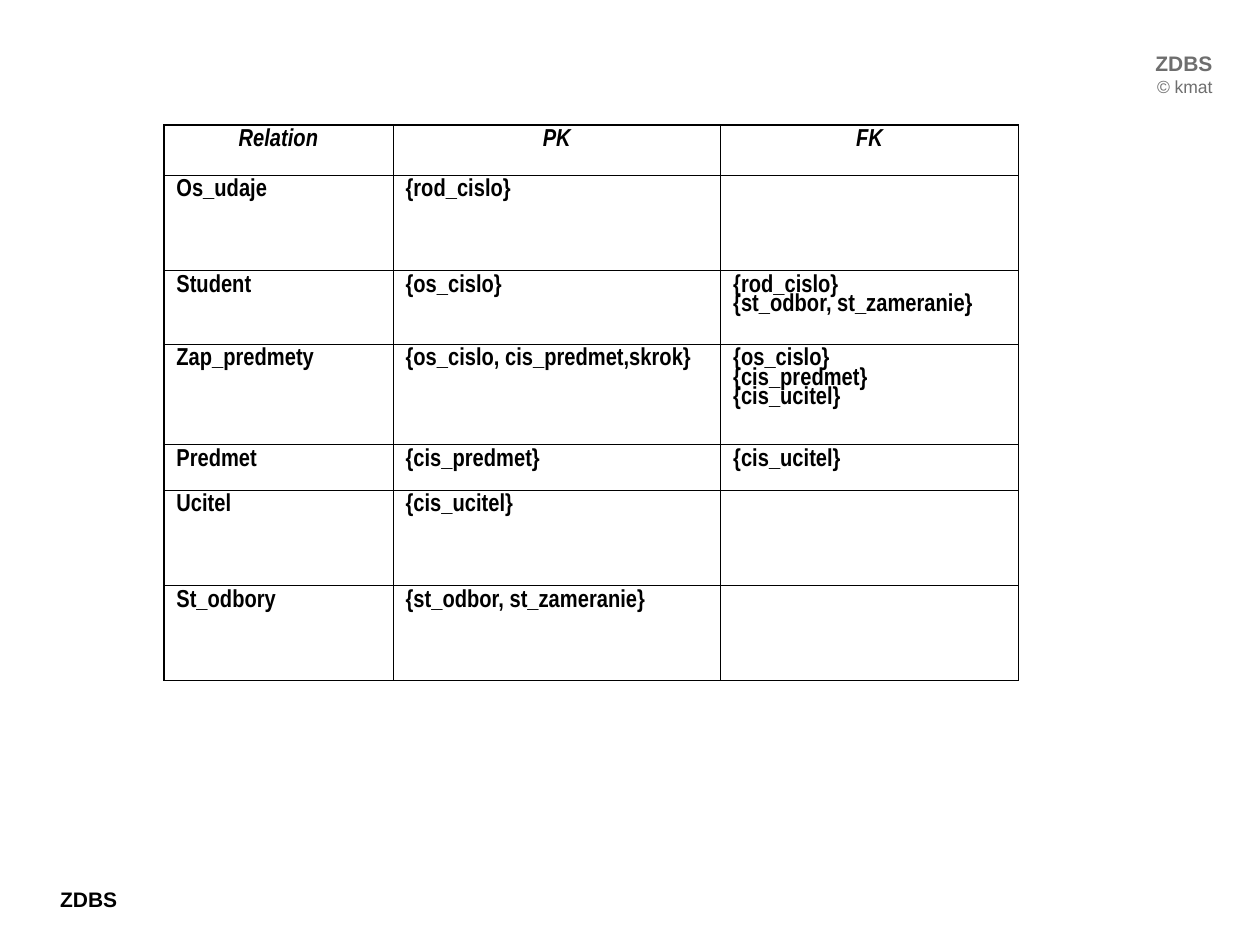
from pptx import Presentation
from pptx.dml.color import RGBColor
from pptx.enum.text import MSO_AUTO_SIZE, PP_ALIGN
from pptx.oxml.ns import qn
from pptx.util import Pt
from lxml.etree import SubElement

BLACK = RGBColor(0x00, 0x00, 0x00)
GREY = RGBColor(0x6E, 0x6E, 0x6E)

INNER_LINE, OUTER_LINE = Pt(0.45), Pt(0.96)
HANGING = Pt(27.36)

COLUMN_WIDTHS = [131, 187.2, 170.3]
ROW_HEIGHTS = [28.8, 54.4, 42.1, 57.6, 25.9, 54.4, 54.3]
KEY_ROWS = [
    ("Relation", "PK", "FK"),
    ("Os_udaje", "{rod_cislo}", ""),
    ("Student", "{os_cislo}", "{rod_cislo}\n{st_odbor, st_zameranie}"),
    ("Zap_predmety", "{os_cislo, cis_predmet,skrok}",
     "{os_cislo}\n{cis_predmet}\n{cis_ucitel}"),
    ("Predmet", "{cis_predmet}", "{cis_ucitel}"),
    ("Ucitel", "{cis_ucitel}", ""),
    ("St_odbory", "{st_odbor, st_zameranie}", ""),
]


def style_font(font, name, size, color, bold=True, italic=False):
    font.name = name
    font.size = Pt(size)
    font.color.rgb = color
    font.bold = bold
    font.italic = italic


def add_label(slide, left, top, width, height, lines, color, align):
    """Add a text box; each line is (text, size, bold)."""
    label = slide.shapes.add_textbox(Pt(left), Pt(top), Pt(width), Pt(height))
    frame = label.text_frame
    frame.text = "\n".join(text for text, _, _ in lines)
    frame.word_wrap = False
    frame.auto_size = MSO_AUTO_SIZE.SHAPE_TO_FIT_TEXT
    for paragraph, (_, size, bold) in zip(frame.paragraphs, lines):
        paragraph.alignment = align
        style_font(paragraph.runs[0].font, "Arial", size, color, bold)


def set_borders(cell, outer_sides):
    """Draw all four sides, heavier on those at the table's edge."""
    properties = cell._tc.get_or_add_tcPr()
    for side in "LRTB":
        width = OUTER_LINE if side in outer_sides else INNER_LINE
        border = SubElement(properties, qn(f"a:ln{side}"), w=str(int(width)))
        fill = SubElement(border, qn("a:solidFill"))
        SubElement(fill, qn("a:srgbClr"), val=str(BLACK))


def fill_cell(cell, text, is_header):
    cell.text_frame.text = text
    for paragraph in cell.text_frame.paragraphs:
        paragraph.alignment = PP_ALIGN.CENTER if is_header else PP_ALIGN.LEFT
        paragraph.line_spacing = 0.84
        indents = paragraph._p.get_or_add_pPr()
        indents.set("marL", str(int(HANGING)))
        indents.set("indent", str(-int(HANGING)))
        for run in paragraph.runs:
            style_font(run.font, "Arial Narrow", 14, BLACK, italic=is_header)


def add_key_table(slide):
    last_row, last_column = len(KEY_ROWS) - 1, len(COLUMN_WIDTHS) - 1
    table = slide.shapes.add_table(
        len(KEY_ROWS), len(COLUMN_WIDTHS), Pt(93.6), Pt(71.3),
        Pt(sum(COLUMN_WIDTHS)), Pt(sum(ROW_HEIGHTS))).table
    table.first_row = False
    table.horz_banding = False
    for column, width in zip(table.columns, COLUMN_WIDTHS):
        column.width = Pt(width)
    for row, height in zip(table.rows, ROW_HEIGHTS):
        row.height = Pt(height)

    for r, texts in enumerate(KEY_ROWS):
        for c, text in enumerate(texts):
            cell = table.cell(r, c)
            edges = {"T": r == 0, "B": r == last_row,
                     "L": c == 0, "R": c == last_column}
            set_borders(cell, [side for side, outer in edges.items() if outer])
            cell.fill.background()
            fill_cell(cell, text, is_header=r == 0)


def main():
    presentation = Presentation()
    presentation.slide_width, presentation.slide_height = Pt(720), Pt(540)
    slide = presentation.slides.add_slide(presentation.slide_layouts[6])

    add_label(slide, 27.3, 503.3, 47, 36, [("ZDBS", 12, True)],
              BLACK, PP_ALIGN.LEFT)
    add_label(slide, 653, 25.2, 47, 34,
              [("ZDBS", 12, True), ("© kmat", 10, False)],
              GREY, PP_ALIGN.RIGHT)
    add_key_table(slide)

    presentation.save("out.pptx")


if __name__ == "__main__":
    main()
